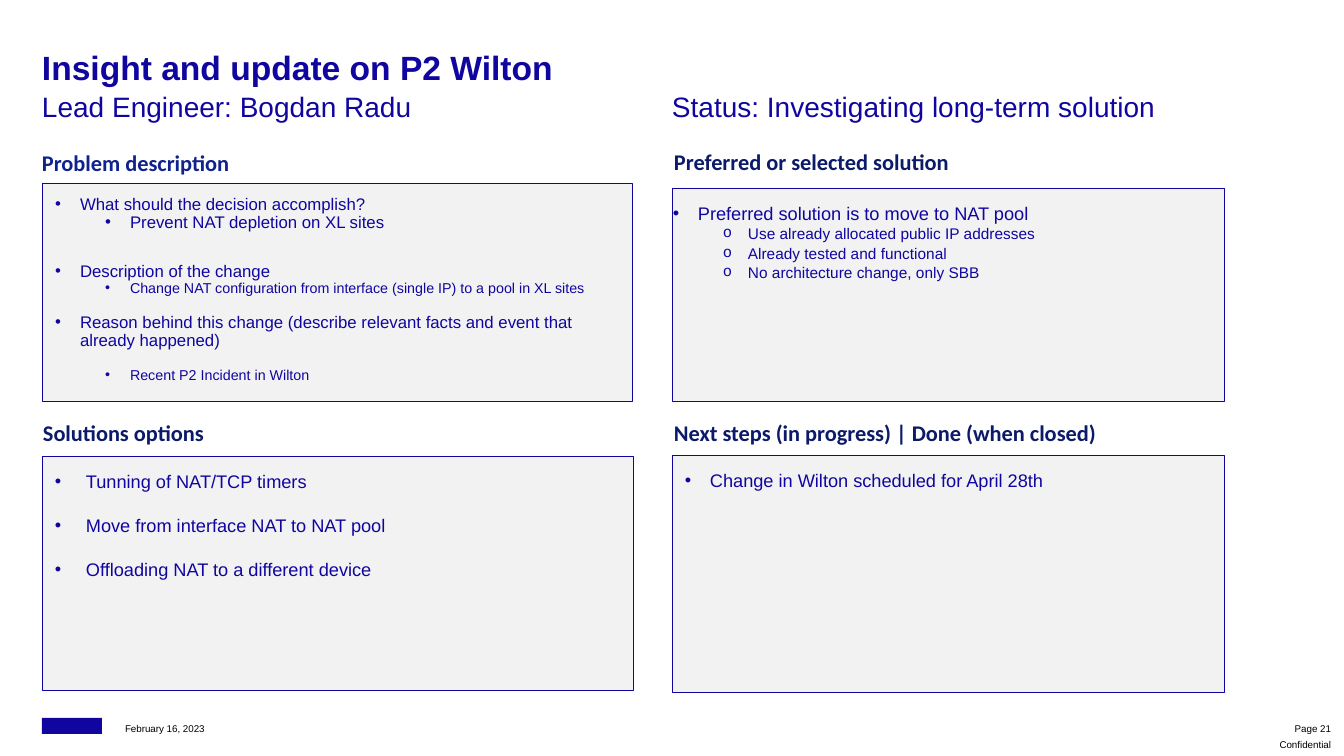
from pptx import Presentation
from pptx.dml.color import RGBColor as RGB
from pptx.enum.shapes import MSO_SHAPE as SHAPE
from pptx.enum.text import MSO_ANCHOR as ANCHOR, PP_ALIGN as ALIGN
from pptx.util import Pt
from lxml.etree import SubElement as Sub
from pptx.oxml.ns import qn

PX = 914400 / 100.8
HUES = {"blue": "10069F", "navy": "0B1A69", "royal": "0F238C",
        "gray": "F2F2F2", "black": "000000"}

deck = Presentation()
deck.slide_width, deck.slide_height = round(1344 * PX), round(756 * PX)
slide = deck.slides.add_slide(deck.slide_layouts[6])


def frame(shape, pads, anchor=ANCHOR.TOP):
    body = shape.text_frame
    body.word_wrap = True
    body.vertical_anchor = anchor
    sides = ("left", "top", "right", "bottom")
    for side, pad in zip(sides, pads):
        setattr(body, "margin_" + side, round(pad * PX))
    return body


def write(para, text, size, hue, font="Arial", bold=False):
    run = para.add_run()
    run.text = text
    run.font.size = Pt(size)
    run.font.name = font
    run.font.bold = bold
    run.font.color.rgb = RGB.from_string(HUES[hue])


logo = slide.shapes.add_shape(SHAPE.RECTANGLE, *[round(n * PX) for n in (42, 718, 60, 16)])
logo.shadow.inherit = False
logo.fill.solid()
logo.fill.fore_color.rgb = RGB.from_string(HUES["blue"])
logo.line.fill.background()

labels = [
    ("Insight and update on P2 Wilton", (42, 47, 1198, 41), 0, 24, "blue", "Arial", True),
    ("Lead Engineer: Bogdan Radu", (42, 89, 590, 41), 0, 20, "blue", "Arial", False),
    ("Status: Investigating long-term solution", (672, 89, 568, 41), 0, 20, "blue", "Arial", False),
    ("Problem description", (42, 149, 302, 26), 0, 16, "royal", "Calibri", True),
    ("Preferred or selected solution", (673, 147, 566, 40), 1, 16, "navy", "Calibri", True),
    ("Solutions options", (42, 418, 565, 36), 1, 16, "navy", "Calibri", True),
    ("Next steps (in progress) | Done (when closed)", (673, 418, 566, 36), 1, 16, "navy", "Calibri", True),
]
for text, area, pad, size, hue, font, bold in labels:
    box = slide.shapes.add_textbox(*[round(n * PX) for n in area])
    para = frame(box, (pad,) * 4).paragraphs[0]
    write(para, text, size, hue, font, bold)

notes = [
    ("February 16, 2023", (125, 719, 119, 15), ANCHOR.BOTTOM, ALIGN.LEFT, 1.1),
    ("Page 21", (1260, 719, 71, 15), ANCHOR.BOTTOM, ALIGN.RIGHT, 1.1),
    ("Confidential", (1255, 734, 76, 22), ANCHOR.MIDDLE, ALIGN.RIGHT, 0.95),
]
for text, area, anchor, align, lead in notes:
    box = slide.shapes.add_textbox(*[round(n * PX) for n in area])
    para = frame(box, (0, 0, 0, 0), anchor).paragraphs[0]
    para.alignment = align
    para.line_spacing = lead
    write(para, text, 7, "black")

panels = [
    ((42, 183, 590, 218), 13, 25, 0.9, [
        ("What should the decision accomplish?", 0, 12, 0),
        ("Prevent NAT depletion on XL sites", 1, 12, 0),
        ("Description of the change", 0, 12, 22),
        ("Change NAT configuration from interface (single IP) to a pool in XL sites", 1, 10.2, 0),
        ("Reason behind this change (describe relevant facts and event that already happened)", 0, 12, 12.5),
        ("Recent P2 Incident in Wilton", 1, 10.2, 12.5)]),
    ((42, 456, 591, 234), 13, 31, 1.04, [
        ("Tunning of NAT/TCP timers", 0, 13, 0),
        ("Move from interface NAT to NAT pool", 0, 13, 15.5),
        ("Offloading NAT to a different device", 0, 13, 15.5)]),
    ((672, 188, 552, 213), 1, 25, 1.04, [
        ("Preferred solution is to move to NAT pool", 0, 13, 0),
        ("Use already allocated public IP addresses", 1, 11, 0),
        ("Already tested and functional", 1, 11, 0),
        ("No architecture change, only SBB", 1, 11, 0)]),
    ((672, 455, 552, 237), 13, 25, 1.04, [
        ("Change in Wilton scheduled for April 28th", 0, 13, 0)]),
]
for area, pad, hang, lead, items in panels:
    box = slide.shapes.add_shape(SHAPE.RECTANGLE, *[round(n * PX) for n in area])
    box.shadow.inherit = False
    box.fill.solid()
    box.fill.fore_color.rgb = RGB.from_string(HUES["gray"])
    box.line.color.rgb = RGB.from_string(HUES["blue"])
    box.line.width = Pt(0.5)
    body = frame(box, (pad, 13, 1, 1))
    for row, (text, level, size, gap) in enumerate(items):
        para = body.add_paragraph() if row else body.paragraphs[0]
        para.alignment = ALIGN.LEFT
        para.level = level
        para.line_spacing = lead
        para.space_before = Pt(gap)
        write(para, text, size, "blue")
        props = para._p.get_or_add_pPr()
        props.set("marL", str(round((hang + 50 * level) * PX)))
        props.set("indent", str(round(-hang * PX)))
        mark = "o" if level and pad == 1 else "•"
        Sub(props, qn("a:buFont")).set("typeface", "Courier New" if mark == "o" else "Arial")
        Sub(props, qn("a:buChar")).set("char", mark)

deck.save("out.pptx")
